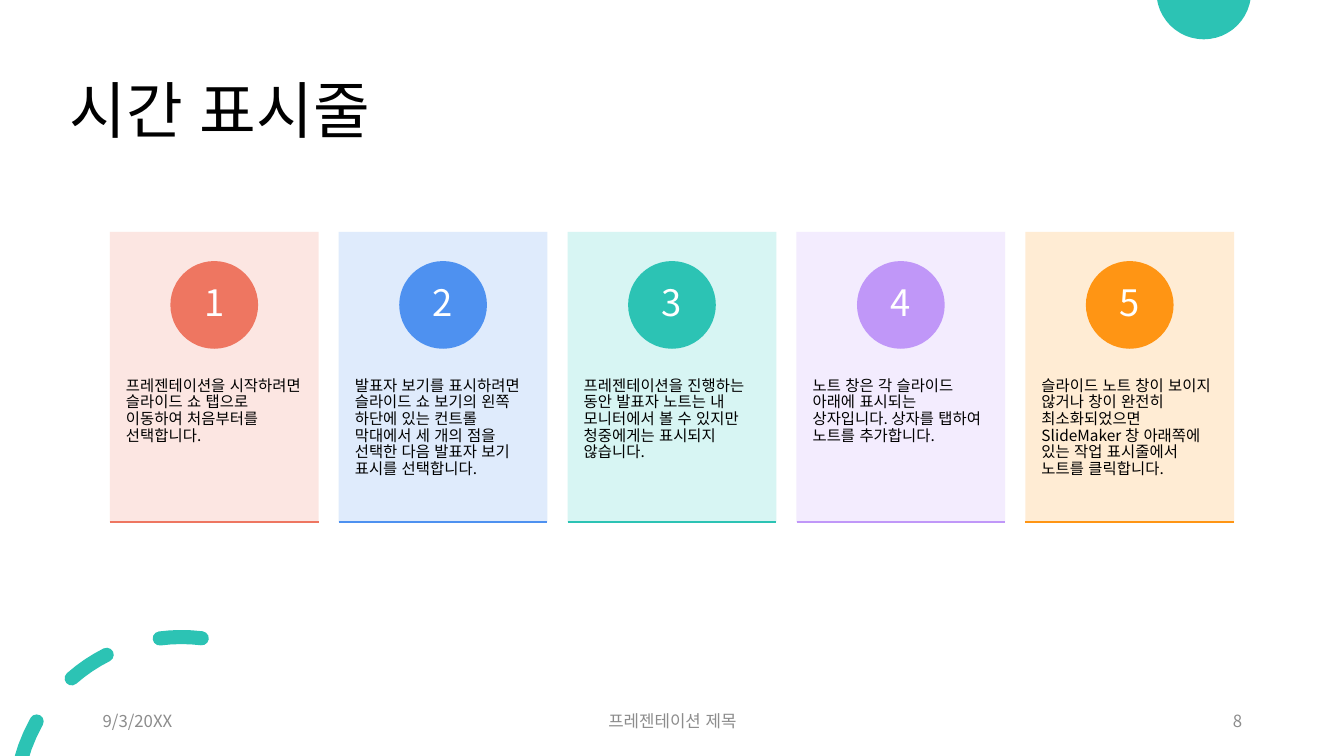
from math import cos, radians, sin

from lxml import etree
from pptx import Presentation
from pptx.dml.color import RGBColor
from pptx.enum.lang import MSO_LANGUAGE_ID
from pptx.enum.shapes import MSO_CONNECTOR, MSO_SHAPE
from pptx.enum.text import MSO_ANCHOR, MSO_AUTO_SIZE, PP_ALIGN
from pptx.oxml.ns import qn
from pptx.util import Inches, Pt

KOREAN = MSO_LANGUAGE_ID.KOREAN
RECTANGLE, OVAL = MSO_SHAPE.RECTANGLE, MSO_SHAPE.OVAL
STRAIGHT = MSO_CONNECTOR.STRAIGHT
TOP, MIDDLE = MSO_ANCHOR.TOP, MSO_ANCHOR.MIDDLE
FIXED_SIZE = MSO_AUTO_SIZE.NONE
LEFT, CENTER, RIGHT = PP_ALIGN.LEFT, PP_ALIGN.CENTER, PP_ALIGN.RIGHT

FONT = "Noto Sans CJK KR"
NO_BREAK_SPACE = chr(160)
WIDTH, HEIGHT = 13.33, 7.5

BLACK = RGBColor(0x00, 0x00, 0x00)
WHITE = RGBColor(0xFF, 0xFF, 0xFF)
GRAY = RGBColor(0x8C, 0x8C, 0x8C)
CORAL = RGBColor(0xEE, 0x76, 0x61)
BLUE = RGBColor(0x4E, 0x91, 0xF0)
TEAL = RGBColor(0x2C, 0xC3, 0xB4)
PURPLE = RGBColor(0xC0, 0x97, 0xF8)
ORANGE = RGBColor(0xFF, 0x95, 0x14)
PALE_CORAL = RGBColor(0xFC, 0xE4, 0xDF)
PALE_BLUE = RGBColor(0xDC, 0xE9, 0xFC)
PALE_TEAL = RGBColor(0xD3, 0xF5, 0xF2)
PALE_PURPLE = RGBColor(0xF2, 0xEA, 0xFE)
PALE_ORANGE = RGBColor(0xFF, 0xEA, 0xD0)

STEPS = [
    (CORAL, PALE_CORAL,
     "프레젠테이션을 시작하려면 슬라이드 쇼 탭으로 이동하여 처음부터를 선택합니다."),
    (BLUE, PALE_BLUE,
     "발표자 보기를 표시하려면 슬라이드 쇼 보기의 왼쪽 하단에 있는 컨트롤 막대에서 "
     "세 개의 점을 선택한 다음 발표자 보기 표시를 선택합니다." + NO_BREAK_SPACE),
    (TEAL, PALE_TEAL,
     "프레젠테이션을 진행하는 동안 발표자 노트는 내 모니터에서 볼 수 있지만 "
     "청중에게는 표시되지 않습니다." + NO_BREAK_SPACE),
    (PURPLE, PALE_PURPLE,
     "노트 창은 각 슬라이드 아래에 표시되는 상자입니다. 상자를 탭하여 노트를 "
     "추가합니다." + NO_BREAK_SPACE),
    (ORANGE, PALE_ORANGE,
     "슬라이드 노트 창이 보이지 않거나 창이 완전히 최소화되었으면 SlideMaker 창 "
     "아래쪽에 있는 작업 표시줄에서 노트를 클릭합니다." + NO_BREAK_SPACE),
]
TIMELINE_BOX = (1.09, 2.3, 11.15, 2.88)
CARD_GAP = 0.2
FOOTER_BOX = (0.92, 6.95, 11.5, 0.4)


def write(shape, text, size, color, align=LEFT, anchor=MIDDLE,
          insets=(0.1, 0.05), spacing=1.0):
    across, down = (Inches(inset) for inset in insets)
    frame = shape.text_frame
    frame_format = {"word_wrap": True, "auto_size": FIXED_SIZE,
                    "vertical_anchor": anchor,
                    "margin_left": across, "margin_right": across,
                    "margin_top": down, "margin_bottom": down}
    for name, value in frame_format.items():
        setattr(frame, name, value)
    paragraph = frame.paragraphs[0]
    paragraph.alignment = align
    paragraph.line_spacing = spacing
    run = paragraph.add_run()
    run.text = text
    font_format = {"name": FONT, "size": Pt(size), "language_id": KOREAN}
    for name, value in font_format.items():
        setattr(run.font, name, value)
    run.font.color.rgb = color
    latin = run.font._element.find(qn("a:latin"))
    latin.addnext(etree.Element(qn("a:ea"), typeface=FONT))


def add_text(shapes, box, text, size, color, **text_format):
    write(shapes.add_textbox(*map(Inches, box)), text, size, color, **text_format)


def paint(shape, color):
    shape.shadow.inherit = False
    shape.fill.solid()
    shape.fill.fore_color.rgb = color
    shape.line.fill.background()


def arc(center, radius, start, end, steps):
    """Points along an arc; angles run clockwise in degrees from straight up."""
    angles = (radians(start + (end - start) * i / steps) for i in range(steps + 1))
    return [(center[0] + radius * sin(a), center[1] - radius * cos(a)) for a in angles]


def clip(contour):
    """Cut a closed contour at the top and bottom edges of the slide."""
    kept = []
    for (x0, y0), (x1, y1) in zip(contour, contour[1:] + contour[:1]):
        if 0 <= y0 <= HEIGHT:
            kept.append((x0, y0))
        for edge in (0, HEIGHT):
            if (y0 - edge) * (y1 - edge) < 0:
                kept.append((x0 + (x1 - x0) * (edge - y0) / (y1 - y0), edge))
    return [(Inches(x), Inches(y)) for x, y in kept]


def add_outline(shapes, contours, color):
    (first, *rest), *others = map(clip, contours)
    builder = shapes.build_freeform(*first)
    builder.add_line_segments(rest)
    for start, *points in others:
        builder.move_to(*start)
        builder.add_line_segments(points)
    paint(builder.convert_to_shape(), color)


def round_dash(center, radius, start, end, half=0.07):
    start_cap, end_cap = (arc(center, radius, a, a, 1)[0] for a in (start, end))
    return (arc(center, radius + half, start, end, 4)
            + arc(end_cap, half, end, end + 180, 6)[1:]
            + arc(center, radius - half, end, start, 4)[1:]
            + arc(start_cap, half, start + 180, start + 360, 6)[1:-1])


def add_decoration(shapes):
    add_outline(shapes, [arc((11.94, -0.08), 0.47, 90, 270, 24)], TEAL)
    ring_center, ring_radius = (1.8, 7.97), 1.65
    spans = [(-80, -60.5), (-41.3, -26.7), (-7.5, 7)]
    add_outline(shapes, [round_dash(ring_center, ring_radius, *span) for span in spans],
                TEAL)


def add_card(shapes, box, number, accent, tint, text):
    left, top, width, height = box
    card = shapes.add_group_shape().shapes

    panel = card.add_shape(RECTANGLE, *map(Inches, box))
    paint(panel, tint)
    for color in panel._element.iter(qn("a:srgbClr")):
        etree.SubElement(color, qn("a:alpha"), val="90000")

    add_text(card, (left, top + 1.09, width, 0.6 * height), text, 11, BLACK,
             anchor=TOP, insets=(0.16, 0.36), spacing=0.9)

    size = 0.87
    badge = card.add_shape(OVAL, *map(Inches, (left + (width - size) / 2, top + 0.29,
                                               size, size)))
    paint(badge, accent)
    write(badge, str(number), 26, WHITE, align=CENTER, insets=(0.07, 0.01), spacing=0.9)

    bottom = top + height
    edge = card.add_connector(STRAIGHT, *map(Inches, (left, bottom, left + width, bottom)))
    edge.line.color.rgb = accent
    edge.line.width = Pt(1)
    etree.SubElement(edge._element.spPr, qn("a:effectLst"))


def add_timeline(shapes, box):
    left, top, width, height = box
    pitch = (width + CARD_GAP) / len(STEPS)
    for column, step in enumerate(STEPS):
        card_box = (left + column * pitch, top, pitch - CARD_GAP, height)
        add_card(shapes, card_box, column + 1, *step)


def add_footer(shapes, box):
    left, top, width, height = box
    side, middle = 3, 4.5
    parts = [(left, side, "9/3/20XX", LEFT),
             (left + (width - middle) / 2, middle, "프레젠테이션 제목", CENTER),
             (left + width - side, side, "8", RIGHT)]
    for part_left, part_width, text, align in parts:
        add_text(shapes, (part_left, top, part_width, height), text, 12, GRAY, align=align)


def main():
    deck = Presentation()
    deck.slide_width, deck.slide_height = Inches(WIDTH), Inches(HEIGHT)
    shapes = deck.slides.add_slide(deck.slide_layouts[6]).shapes
    add_decoration(shapes)
    add_text(shapes, (0.59, 0.4, 11.5, 1.45), "시간 표시줄", 44, BLACK, spacing=0.9)
    add_timeline(shapes, TIMELINE_BOX)
    add_footer(shapes, FOOTER_BOX)
    deck.save("out.pptx")


if __name__ == "__main__":
    main()
